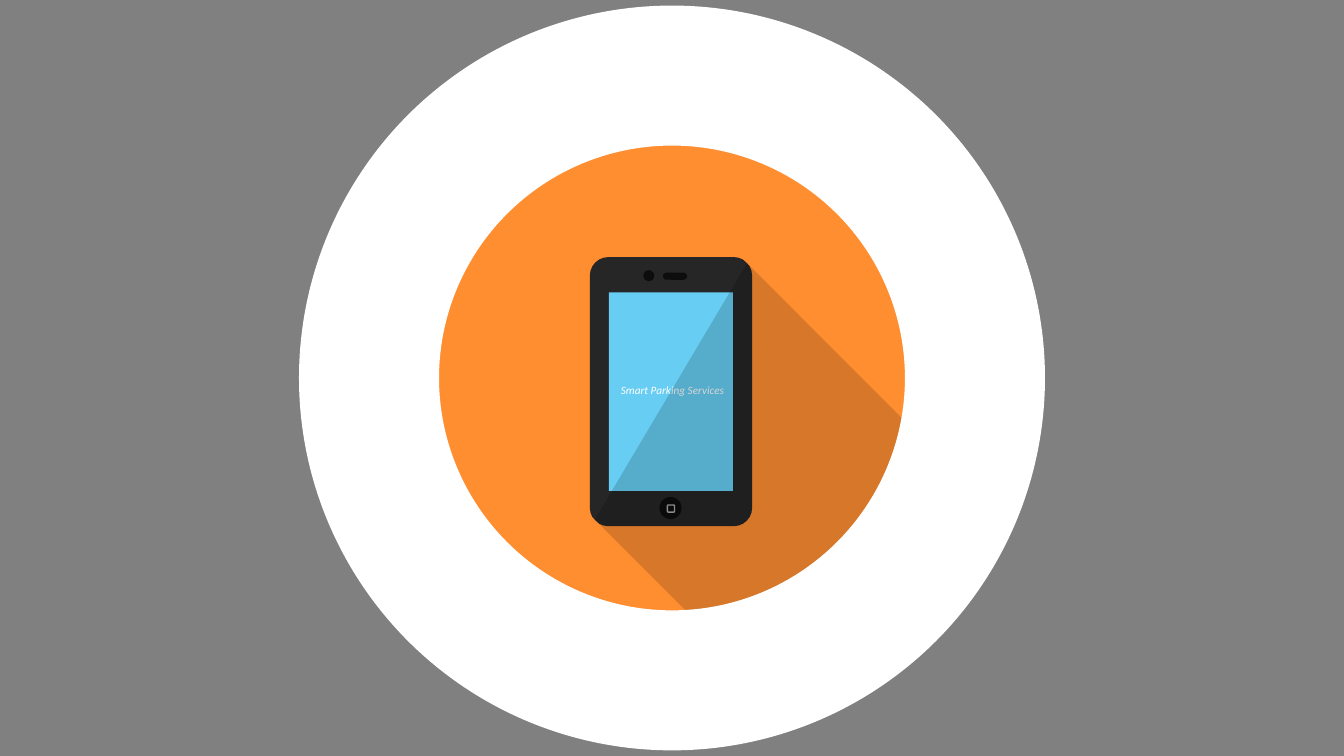
from pptx import Presentation, util as u
from pptx.dml.color import RGBColor
from pptx.enum import shapes, text
from pptx.oxml import parse_xml
from pptx.oxml.ns import nsdecls

COLORS = {
    "back": "808080", "disc": "FF8E31", "case": "262626", "screen": "67CDF2",
    "dark": "0D0D0D", "mark": "A6A6A6", "shade": "000000", "white": "FFFFFF",
}
KINDS = shapes.MSO_SHAPE


class Canvas:
    def __init__(self, slide, font):
        self.slide = slide
        self.font = font

    def color(self, name):
        return RGBColor.from_string(COLORS[name])

    def back(self, name):
        fill = self.slide.background.fill
        fill.solid()
        fill.fore_color.rgb = self.color(name)

    def shape(self, kind, box, fill=None, line=None, turn=0, adj=None, alpha=None, flip=False):
        """Draw a preset shape; line is (color, points), alpha is opacity in percent."""
        item = self.slide.shapes.add_shape(kind, *map(u.Inches, box))
        item.shadow.inherit = False
        item.rotation = turn
        if adj is not None:
            item.adjustments[0] = adj
        if flip:
            item._element.spPr.xfrm.set("flipV", "1")
        if fill:
            item.fill.solid()
            item.fill.fore_color.rgb = self.color(fill)
        else:
            item.fill.background()
        if alpha is not None:
            tint = item._element.spPr.find(".//{*}srgbClr")
            tint.append(parse_xml(f'<a:alpha {nsdecls("a")} val="{alpha * 1000}"/>'))
        if line:
            item.line.color.rgb = self.color(line[0])
            item.line.width = u.Pt(line[1])
        else:
            item.line.fill.background()

    def oval(self, box, **style):
        self.shape(KINDS.OVAL, box, **style)

    def panel(self, box, adj, turn=270, **style):
        self.shape(KINDS.ROUNDED_RECTANGLE, box, adj=adj, turn=turn, **style)

    def label(self, box, words, size, color):
        frame = self.slide.shapes.add_textbox(*map(u.Inches, box)).text_frame
        frame.word_wrap = True
        frame.auto_size = text.MSO_AUTO_SIZE.SHAPE_TO_FIT_TEXT
        frame.text = words
        font = frame.paragraphs[0].runs[0].font
        font.name = self.font
        font.size = u.Pt(size)
        font.italic = True
        font.color.rgb = self.color(color)


def phone(art):
    art.panel((5.32, 3.08, 2.67, 1.61), 0.114, fill="case")
    art.panel((5.67, 3.27, 1.97, 1.23), 0, fill="screen")
    art.oval((6.38, 2.68, 0.11, 0.11), fill="dark")
    art.panel((6.66, 2.62, 0.07, 0.24), 0.498, fill="dark")
    art.oval((6.54, 4.93, 0.22, 0.22), fill="dark")
    art.panel((6.62, 5.01, 0.07, 0.07), 0.114, line=("mark", 1))
    art.label((6.06, 3.75, 1.27, 0.24), "Smart Parking Services", 8, "white")


def shade(art):
    """Cast the long shadow, trimmed on both sides by disc-colored panels."""
    art.shape(KINDS.RECTANGLE, (6.53, 3.65, 2.65, 2.87), fill="shade", turn=45, alpha=16)
    art.shape(KINDS.ISOSCELES_TRIANGLE, (5.2, 3.52, 2.9, 0.74), fill="shade",
              turn=135, adj=0, alpha=16, flip=True)
    for left, top in ((7.36, 2.46), (4.27, 5.17)):
        art.panel((left, top, 2.77, 1.23), 0, turn=45, fill="disc")


def main():
    deck = Presentation()
    deck.slide_width, deck.slide_height = u.Inches(13.33), u.Inches(7.5)
    art = Canvas(deck.slides.add_slide(deck.slide_layouts[6]), "Calibri")
    art.back("back")
    art.oval((4.3, 1.39, 4.73, 4.73), fill="disc")
    phone(art)
    shade(art)
    art.oval((3.66, 0.75, 6.01, 6), line=("white", 100))
    deck.save("out.pptx")


if __name__ == "__main__":
    main()
